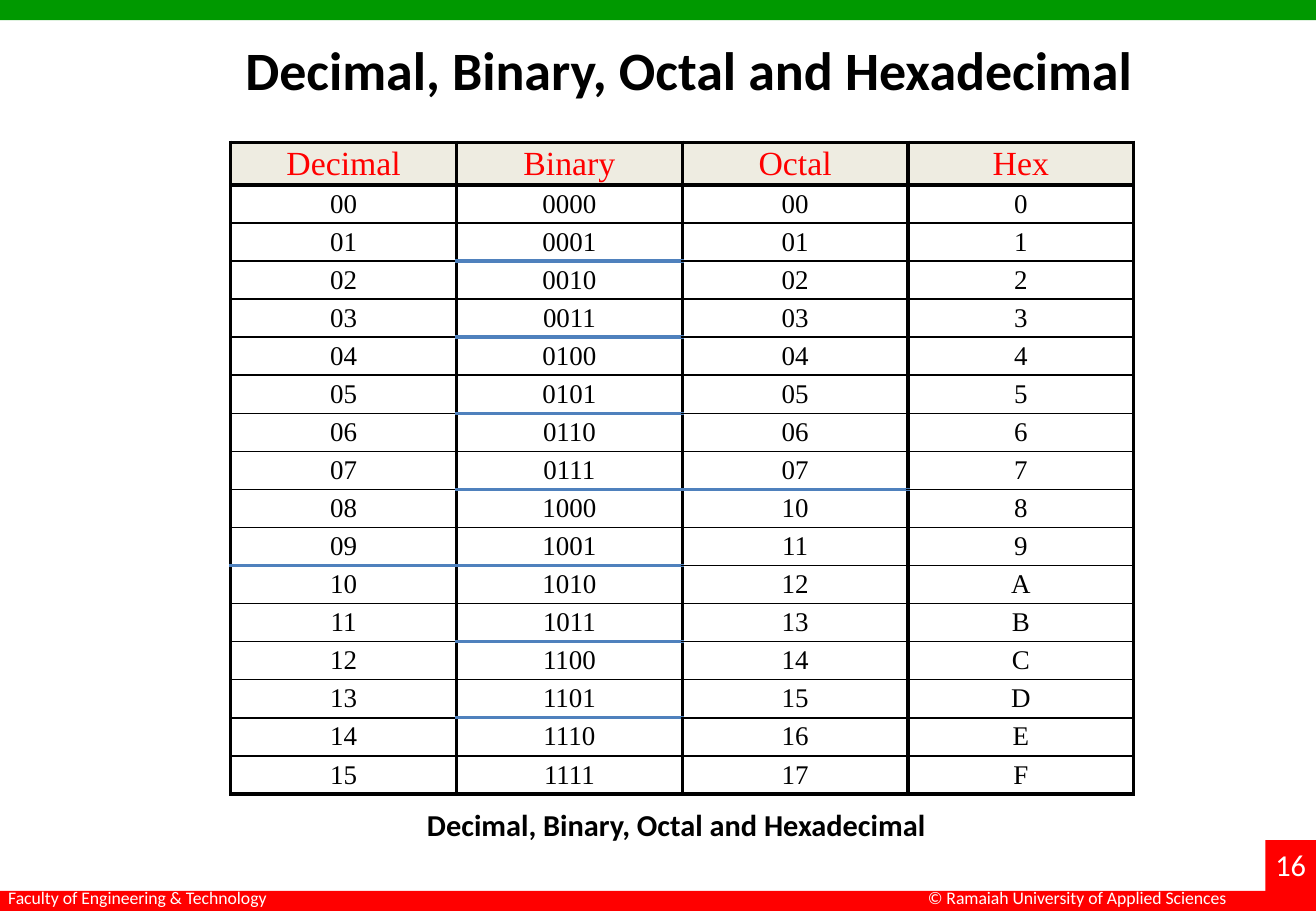
from dataclasses import dataclass

import pptx
import pptx.dml.color
import pptx.enum.shapes
import pptx.enum.text
import pptx.oxml
import pptx.oxml.ns
import pptx.util
from pptx.util import Pt


@dataclass(frozen=True)
class Theme:
    text_font: str = "Calibri"
    table_font: str = "Times New Roman"
    black: str = "000000"
    white: str = "FFFFFF"
    red: str = "FF0000"
    green: str = "009900"
    header_fill: str = "EEECE1"
    rollover_line: str = "4F81BD"
    title_size: float = 32
    caption_size: float = 18
    footer_size: float = 10.5
    header_size: float = 20
    value_size: float = 16
    thick: float = 2.25
    thin: float = 1


@dataclass(frozen=True)
class Band:
    left: float
    top: float
    width: float
    height: float
    color: str


@dataclass(frozen=True)
class Label:
    text: str
    left: float
    top: float
    width: float
    height: float
    size: float
    color: str
    bold: bool = False


@dataclass(frozen=True)
class NumberSystem:
    heading: str
    base: int
    digits: str  # format specification of one value


@dataclass(frozen=True)
class Border:
    color: str
    width: float


THEME = Theme()
SLIDE_WIDTH, SLIDE_HEIGHT = 780, 540
TABLE_LEFT, TABLE_TOP = 136.8, 84.4
COLUMN_WIDTH, HEADER_HEIGHT, ROW_HEIGHT = 133.8, 25.2, 22.58
VALUE_COUNT = 16
HEADING = "Decimal, Binary, Octal and Hexadecimal"

BANDS = [
    Band(0, 0, SLIDE_WIDTH, 12, THEME.green),
    Band(0, 528, SLIDE_WIDTH, 12, THEME.red),
    Band(750, 498, 30, 42, THEME.red),
]
TITLE = Label(HEADING, 138.2, 18, 545, 46.2, THEME.title_size, THEME.black, True)
LABELS = [
    Label("16", 748.8, 498, 36, 29, THEME.caption_size, THEME.white),
    Label("© Ramaiah University of Applied Sciences",
          542.9, 522, 197, 20, THEME.footer_size, THEME.white),
    Label("Faculty of Engineering & Technology",
          -2.2, 522, 171, 20, THEME.footer_size, THEME.white),
    Label(HEADING, 246, 474, 312.5, 29, THEME.caption_size, THEME.black, True),
]
SYSTEMS = [
    NumberSystem("Decimal", 10, "02d"),
    NumberSystem("Binary", 2, "04b"),
    NumberSystem("Octal", 8, "02o"),
    NumberSystem("Hex", 16, "X"),
]


def rgb(color: str) -> pptx.dml.color.RGBColor:
    return pptx.dml.color.RGBColor.from_string(color)


def style_paragraph(paragraph, font_name: str, size: float, color: str,
                    align, bold: bool = False) -> None:
    paragraph.alignment = align
    font = paragraph.font
    font.name, font.size, font.bold = font_name, Pt(size), bold
    font.color.rgb = rgb(color)


def add_band(slide, band: Band) -> None:
    bar = slide.shapes.add_shape(
        pptx.enum.shapes.MSO_SHAPE.RECTANGLE,
        Pt(band.left), Pt(band.top), Pt(band.width), Pt(band.height))
    bar.shadow.inherit = False
    bar.fill.solid()
    bar.fill.fore_color.rgb = rgb(band.color)
    bar.line.fill.background()


def write_label(holder, label: Label) -> None:
    holder.left, holder.top = Pt(label.left), Pt(label.top)
    holder.width, holder.height = Pt(label.width), Pt(label.height)
    frame = holder.text_frame
    frame.text = label.text
    frame.word_wrap = False
    frame.auto_size = pptx.enum.text.MSO_AUTO_SIZE.NONE
    frame.vertical_anchor = pptx.enum.text.MSO_ANCHOR.TOP
    style_paragraph(frame.paragraphs[0], THEME.text_font, label.size, label.color,
                    pptx.enum.text.PP_ALIGN.LEFT, label.bold)


def border_below(system: NumberSystem, value: int) -> Border:
    """Line under a value; -1 is the header, and a blue line marks a digit rollover."""
    if value in (-1, VALUE_COUNT - 1):
        return Border(THEME.black, THEME.thick)
    if (value + 1) % system.base == 0:
        return Border(THEME.rollover_line, THEME.thick)
    return Border(THEME.black, THEME.thin)


def set_borders(cell, top: Border, bottom: Border) -> None:
    side = Border(THEME.black, THEME.thick)
    properties = cell._tc.get_or_add_tcPr()
    for tag, border in (("lnL", side), ("lnR", side), ("lnT", top), ("lnB", bottom)):
        properties.append(pptx.oxml.parse_xml(
            f'<a:{tag} {pptx.oxml.ns.nsdecls("a")} w="{Pt(border.width)}">'
            f'<a:solidFill><a:srgbClr val="{border.color}"/></a:solidFill></a:{tag}>'))


def write_cell(cell, text: str, size: float, color: str) -> None:
    cell.text = text
    cell.margin_left = cell.margin_right = cell.margin_top = cell.margin_bottom = 0
    cell.vertical_anchor = pptx.enum.text.MSO_ANCHOR.MIDDLE
    style_paragraph(cell.text_frame.paragraphs[0], THEME.table_font, size, color,
                    pptx.enum.text.PP_ALIGN.CENTER)


def add_number_table(slide) -> None:
    table = slide.shapes.add_table(
        VALUE_COUNT + 1, len(SYSTEMS), Pt(TABLE_LEFT), Pt(TABLE_TOP),
        Pt(COLUMN_WIDTH * len(SYSTEMS)),
        Pt(HEADER_HEIGHT + ROW_HEIGHT * VALUE_COUNT)).table
    table.first_row = table.horz_banding = False
    for index, row in enumerate(table.rows):
        row.height = Pt(ROW_HEIGHT if index else HEADER_HEIGHT)
    for column, system in enumerate(SYSTEMS):
        table.columns[column].width = Pt(COLUMN_WIDTH)
        header = table.cell(0, column)
        write_cell(header, system.heading, THEME.header_size, THEME.red)
        set_borders(header, Border(THEME.black, THEME.thick), border_below(system, -1))
        header.fill.solid()
        header.fill.fore_color.rgb = rgb(THEME.header_fill)
        for value in range(VALUE_COUNT):
            cell = table.cell(value + 1, column)
            write_cell(cell, format(value, system.digits), THEME.value_size, THEME.black)
            set_borders(cell, border_below(system, value - 1), border_below(system, value))
            cell.fill.background()


def main() -> None:
    presentation = pptx.Presentation()
    presentation.slide_width = Pt(SLIDE_WIDTH)
    presentation.slide_height = Pt(SLIDE_HEIGHT)
    title_only = presentation.slide_layouts.get_by_name("Title Only")
    slide = presentation.slides.add_slide(title_only)
    for band in BANDS:
        add_band(slide, band)
    write_label(slide.shapes.title, TITLE)
    add_number_table(slide)
    for label in LABELS:
        write_label(slide.shapes.add_textbox(0, 0, 0, 0), label)
    presentation.save("out.pptx")


if __name__ == "__main__":
    main()
